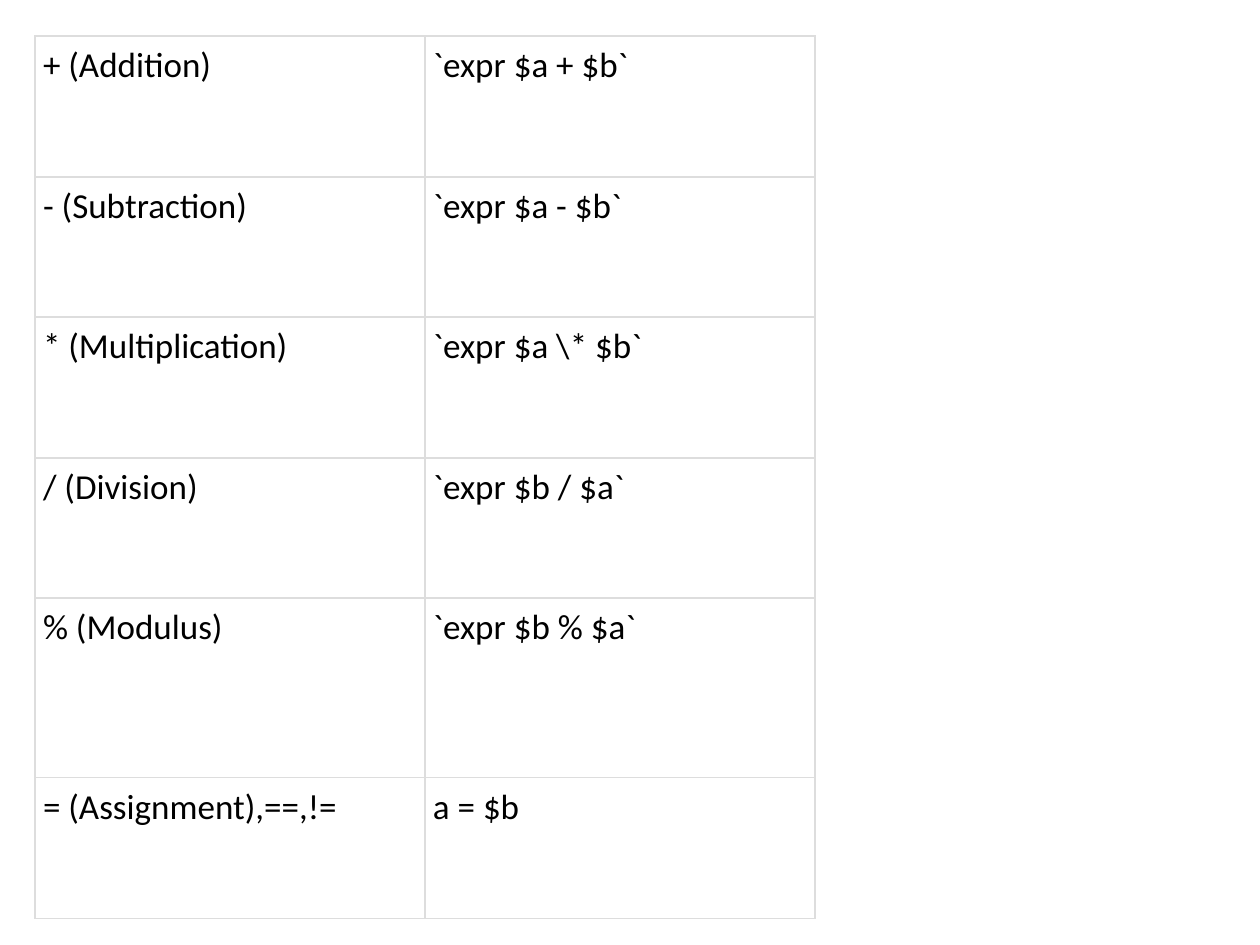
"""Build a slide with a table of shell arithmetic operators."""
from lxml import etree
from pptx import Presentation
from pptx.dml.color import RGBColor
from pptx.enum.text import MSO_ANCHOR
from pptx.oxml.ns import qn
from pptx.util import Pt

TOP = MSO_ANCHOR.TOP
PX = 914400 / 126
EDGE = "DDDDDD"
ROWS = [
    ("+ (Addition)", "`expr $a + $b`", 141),
    ("- (Subtraction)", "`expr $a - $b`", 140),
    ("* (Multiplication)", r"`expr $a \* $b`", 141),
    ("/ (Division)", "`expr $b / $a`", 140),
    ("% (Modulus)", "`expr $b % $a`", 180),
    ("= (Assignment),==,!=", "a = $b", 141),
]


def px(n):
    return round(n * PX)


def write(cell, text, size=20, face="Calibri", color="000000"):
    run = cell.text_frame.paragraphs[0].add_run()
    run.text = text
    run.font.size = Pt(size)
    run.font.name = face
    run.font.bold = False
    run.font.color.rgb = RGBColor.from_string(color)


prs = Presentation()
prs.slide_width, prs.slide_height = px(1260), px(945)
slide = prs.slides.add_slide(prs.slide_layouts[6])

high = sum(row[2] for row in ROWS)
table = slide.shapes.add_table(len(ROWS), 2, px(35), px(36), px(780), px(high)).table
table.first_row = False
table.horz_banding = False
for col in table.columns:
    col.width = px(390)

for r, (*texts, tall) in enumerate(ROWS):
    table.rows[r].height = px(tall)
    for c, text in enumerate(texts):
        cell = table.cell(r, c)
        cell.margin_left = cell.margin_right = px(8)
        cell.margin_top = cell.margin_bottom = px(8)
        cell.vertical_anchor = TOP
        write(cell, text)
        props = cell._tc.get_or_add_tcPr()
        for side in ("a:lnL", "a:lnR", "a:lnT", "a:lnB"):
            line = etree.SubElement(props, qn(side), w=str(Pt(0.75)))
            fill = etree.SubElement(line, qn("a:solidFill"))
            etree.SubElement(fill, qn("a:srgbClr"), val=EDGE)
        cell.fill.background()

prs.save("out.pptx")
